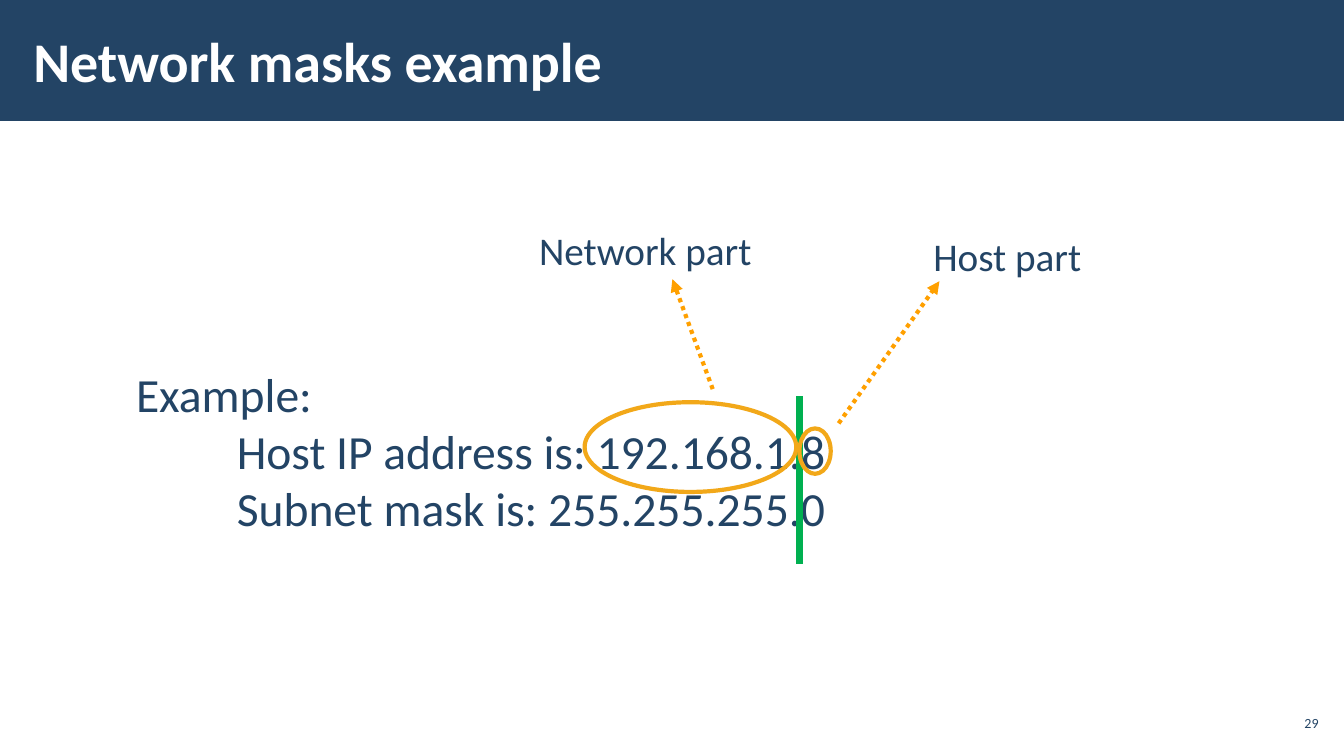
"""Build the slide that splits an IP address into its network and host parts."""
from dataclasses import dataclass
from typing import Any

import lxml.etree
import pptx
import pptx.dml.color
import pptx.enum.dml
import pptx.enum.shapes
import pptx.enum.text
import pptx.oxml.ns
import pptx.util


@dataclass(frozen=True)
class Theme:
    font: str = "Calibri"
    navy: str = "234465"
    white: str = "FFFFFF"
    green: str = "00B050"
    arrow: str = "FFA000"
    ring: str = "F2A819"
    title_size: int = 40
    body_size: int = 34
    label_size: int = 28
    number_size: int = 10
    divider_width: float = 4.5
    mark_width: float = 3


@dataclass(frozen=True)
class Area:
    """Hold a place as percentages of the slide's width and height."""
    left: float
    top: float
    width: float
    height: float


@dataclass(frozen=True)
class TextBlock:
    area: Area
    lines: tuple[str, ...]
    size: int
    color: str = Theme.navy
    bold: bool = False
    align: Any = pptx.enum.text.PP_ALIGN.LEFT
    anchor: Any = pptx.enum.text.MSO_ANCHOR.TOP
    auto_size: Any = pptx.enum.text.MSO_AUTO_SIZE.SHAPE_TO_FIT_TEXT
    insets: tuple[float, float] = (0.1, 0.05)


@dataclass(frozen=True)
class Stroke:
    start: tuple[float, float]
    end: tuple[float, float]
    color: str = Theme.arrow
    width: float = Theme.mark_width
    is_arrow: bool = True


THEME = Theme()
WIDTH = pptx.util.Inches(13.333)
HEIGHT = pptx.util.Inches(7.5)
TAB_STOP = pptx.util.Inches(1)
DIVIDER_X = 59.48
MIDDLE = pptx.enum.text.MSO_ANCHOR.MIDDLE
FIXED = pptx.enum.text.MSO_AUTO_SIZE.NONE

TITLE_BAR = Area(0, 0, 100, 16)
TEXTS = (
    TextBlock(Area(1.58, 1.47, 78, 12.93), ("Network masks example",), THEME.title_size,
              color=THEME.white, bold=True, anchor=MIDDLE, auto_size=FIXED, insets=(0.12, 0.04)),
    TextBlock(Area(94.88, 93.33, 3.53, 4.53), ("29",), THEME.number_size,
              align=pptx.enum.text.PP_ALIGN.RIGHT, anchor=MIDDLE, auto_size=FIXED,
              insets=(0.04, 0.04)),
    TextBlock(Area(9.38, 47.6, 58.35, 30.53),
              ("Example:", "\tHost IP address is: 192.168.1.8", "\tSubnet mask is: 255.255.255.0"),
              THEME.body_size),
    TextBlock(Area(39.38, 29.33, 18.98, 7.6), ("Network part",), THEME.label_size),
    TextBlock(Area(68.7, 30.13, 14.78, 7.6), ("Host part",), THEME.label_size),
)
STROKES = (
    Stroke((DIVIDER_X, 52.4), (DIVIDER_X, 74.67), THEME.green, THEME.divider_width, False),
    Stroke((53.03, 51.47), (50.03, 36.93)),
    Stroke((62.4, 56), (69.9, 37.2)),
)
RINGS = (Area(43.5, 53.2, 15.75, 11.87), Area(DIVIDER_X, 56.67, 2.33, 6))


def apply_format(target: Any, values: dict[str, Any]) -> None:
    for name, value in values.items():
        setattr(target, name, value)


def rgb(color: str) -> pptx.dml.color.RGBColor:
    return pptx.dml.color.RGBColor.from_string(color)


def point(x: float, y: float) -> tuple[int, int]:
    return round(WIDTH * x / 100), round(HEIGHT * y / 100)


def place(area: Area) -> tuple[int, int, int, int]:
    return *point(area.left, area.top), *point(area.width, area.height)


def add_element(parent: Any, tag: str, **attributes: str) -> Any:
    return lxml.etree.SubElement(parent, pptx.oxml.ns.qn(tag), attributes)


def draw_line_style(line: Any, color: str, width: float) -> None:
    line.color.rgb = rgb(color)
    line.width = pptx.util.Pt(width)


def draw_title_bar(slide: Any, area: Area) -> None:
    shape = slide.shapes.add_shape(pptx.enum.shapes.MSO_SHAPE.RECTANGLE, *place(area))
    shape.shadow.inherit = False
    shape.fill.solid()
    shape.fill.fore_color.rgb = rgb(THEME.navy)
    shape.line.fill.background()


def draw_text(slide: Any, block: TextBlock) -> None:
    frame = slide.shapes.add_textbox(*place(block.area)).text_frame
    horizontal, vertical = map(pptx.util.Inches, block.insets)
    apply_format(frame, {
        "word_wrap": True, "auto_size": block.auto_size, "vertical_anchor": block.anchor,
        "margin_left": horizontal, "margin_right": horizontal,
        "margin_top": vertical, "margin_bottom": vertical,
    })
    for index, line in enumerate(block.lines):
        paragraph = frame.add_paragraph() if index else frame.paragraphs[0]
        paragraph.alignment = block.align
        if line.startswith("\t"):
            tabs = add_element(paragraph._p.get_or_add_pPr(), "a:tabLst")
            add_element(tabs, "a:tab", pos=str(TAB_STOP), algn="l")
        run = paragraph.add_run()
        run.text = line
        apply_format(run.font, {
            "name": THEME.font, "size": pptx.util.Pt(block.size), "bold": block.bold,
        })
        run.font.color.rgb = rgb(block.color)


def draw_stroke(slide: Any, stroke: Stroke) -> None:
    connector = slide.shapes.add_connector(
        pptx.enum.shapes.MSO_CONNECTOR.STRAIGHT, *point(*stroke.start), *point(*stroke.end))
    draw_line_style(connector.line, stroke.color, stroke.width)
    if stroke.is_arrow:
        connector.line.dash_style = pptx.enum.dml.MSO_LINE.ROUND_DOT
        add_element(connector.line._get_or_add_ln(), "a:tailEnd", type="triangle")
    add_element(connector._element.spPr, "a:effectLst")


def draw_ring(slide: Any, area: Area) -> None:
    shape = slide.shapes.add_shape(pptx.enum.shapes.MSO_SHAPE.OVAL, *place(area))
    shape.shadow.inherit = False
    shape.fill.background()
    draw_line_style(shape.line, THEME.ring, THEME.mark_width)


def main() -> None:
    presentation = pptx.Presentation()
    apply_format(presentation, {"slide_width": WIDTH, "slide_height": HEIGHT})
    slide = presentation.slides.add_slide(presentation.slide_layouts[6])
    draw_title_bar(slide, TITLE_BAR)
    for block in TEXTS:
        draw_text(slide, block)
    for stroke in STROKES:
        draw_stroke(slide, stroke)
    for ring in RINGS:
        draw_ring(slide, ring)
    presentation.save("out.pptx")


if __name__ == "__main__":
    main()
